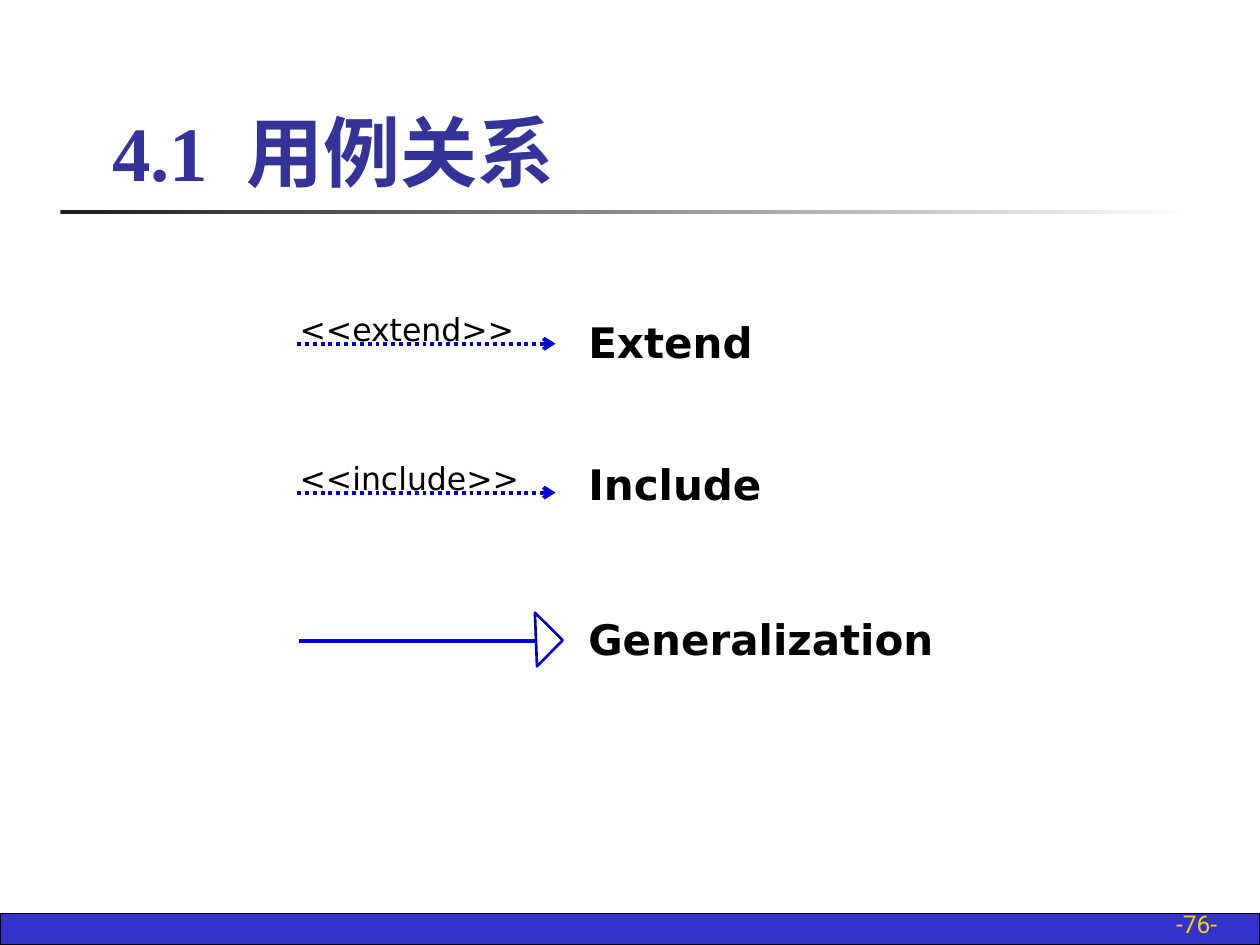
from dataclasses import dataclass

from lxml import etree
from pptx import Presentation
from pptx import util as u
from pptx.dml.color import RGBColor
from pptx.enum import dml, shapes, text
from pptx.oxml.ns import qn


@dataclass(frozen=True)
class Theme:
    title: str = "333399"
    ink: str = "000000"
    arrow: str = "0000CC"
    footer: str = "3333CC"
    page: str = "FFCF01"
    rule_start: str = "1C1C1C"
    rule_end: str = "FFFFFF"
    title_size: int = 44
    name_size: int = 24
    label_size: int = 18
    page_size: int = 14
    title_font: str = "Times New Roman"
    body_font: str = "DejaVu Sans"
    page_font: str = "Roboto"


def rgb(value):
    return RGBColor.from_string(value)


class SlideBuilder:
    def __init__(self, slide, theme):
        self.slide = slide
        self.theme = theme

    def shape(self, kind, left, top, width, height, fill=None, line=None, weight=0.75):
        shape = self.slide.shapes.add_shape(kind, *map(u.Cm, (left, top, width, height)))
        shape.shadow.inherit = False
        if fill:
            shape.fill.solid()
            shape.fill.fore_color.rgb = rgb(fill)
        else:
            shape.fill.background()
        if line:
            shape.line.color.rgb = rgb(line)
            shape.line.width = u.Pt(weight)
        else:
            shape.line.fill.background()
        return shape

    def fading_rule(self, left, top, width, height):
        rule = self.shape(shapes.MSO_SHAPE.RECTANGLE, left, top, width, height)
        rule.fill.gradient()
        rule.fill.gradient_angle = 0
        colors = (self.theme.rule_start, self.theme.rule_end)
        for stop, color, position in zip(rule.fill.gradient_stops, colors, (0, 1)):
            stop.color.rgb = rgb(color)
            stop.position = position

    def text(self, words, left, top, width, height, size, color, font, bold=False,
             align=text.PP_ALIGN.LEFT, anchor=text.MSO_ANCHOR.TOP):
        box = self.slide.shapes.add_textbox(*map(u.Cm, (left, top, width, height)))
        frame = box.text_frame
        frame.word_wrap = True
        frame.vertical_anchor = anchor
        paragraph = frame.paragraphs[0]
        paragraph.alignment = align
        for word in words:
            paragraph.add_run().text = word
        paragraph.font.size = u.Pt(size)
        paragraph.font.color.rgb = rgb(color)
        paragraph.font.name = font
        paragraph.font.bold = bold
        return paragraph

    def line(self, start, end, y, dashed=False):
        line = self.slide.shapes.add_connector(
            shapes.MSO_CONNECTOR.STRAIGHT, u.Cm(start), u.Cm(y), u.Cm(end), u.Cm(y))
        line.line.color.rgb = rgb(self.theme.arrow)
        line.line.width = u.Pt(2.25)
        properties = line._element.spPr
        if dashed:
            line.line.dash_style = dml.MSO_LINE.ROUND_DOT
            etree.SubElement(properties.find(qn("a:ln")), qn("a:tailEnd"), type="arrow")
        etree.SubElement(properties, qn("a:effectLst"))

    def stereotype_arrow(self, label, y):
        theme = self.theme
        self.line(5.99, 11.2, y, dashed=True)
        self.text([label], 5.79, y - 0.81, 5, 1.02,
                  theme.label_size, theme.ink, theme.body_font)

    def generalization_arrow(self, y):
        self.line(6.02, 10.82, y)
        head = self.shape(shapes.MSO_SHAPE.RIGHT_TRIANGLE, 10.41, y - 0.41, 0.79, 0.74,
                          line=self.theme.arrow, weight=1.5)
        head.rotation = 224.6

    def relation_name(self, name, top, width=5.79):
        theme = self.theme
        self.text([name], 11.61, top, width, 1.27,
                  theme.name_size, theme.ink, theme.body_font, bold=True)


def main():
    presentation = Presentation()
    presentation.slide_width, presentation.slide_height = u.Cm(25.4), u.Cm(19.05)
    theme = Theme()
    builder = SlideBuilder(
        presentation.slides.add_slide(presentation.slide_layouts[6]), theme)

    # Footer bar, rule and page number
    builder.shape(shapes.MSO_SHAPE.RECTANGLE, 0, 18.41, 25.4, 0.64,
                  fill=theme.footer, line=theme.ink)
    builder.fading_rule(1.22, 4.24, 22.86, 0.08)
    builder.text(["-76-"], 19.51, 18.21, 5.28, 0.84, theme.page_size, theme.page,
                 theme.page_font, align=text.PP_ALIGN.RIGHT,
                 anchor=text.MSO_ANCHOR.BOTTOM)

    # Title, with a widened space after the section number
    title = builder.text(["4.1", " ", "用例关系"], 2.01, 0.91, 21.64, 3.18,
                         theme.title_size, theme.title, theme.title_font, bold=True,
                         anchor=text.MSO_ANCHOR.BOTTOM)
    title.runs[1]._r.get_or_add_rPr().set("spc", "1100")

    # Relation arrows
    builder.stereotype_arrow("<<extend>>", 6.93)
    builder.stereotype_arrow("<<include>>", 9.93)
    builder.generalization_arrow(12.93)

    # Relation names
    builder.relation_name("Extend", 6.25)
    builder.relation_name("Include", 9.12)
    builder.relation_name("Generalization", 12.24, width=7.49)

    presentation.save("out.pptx")


if __name__ == "__main__":
    main()
